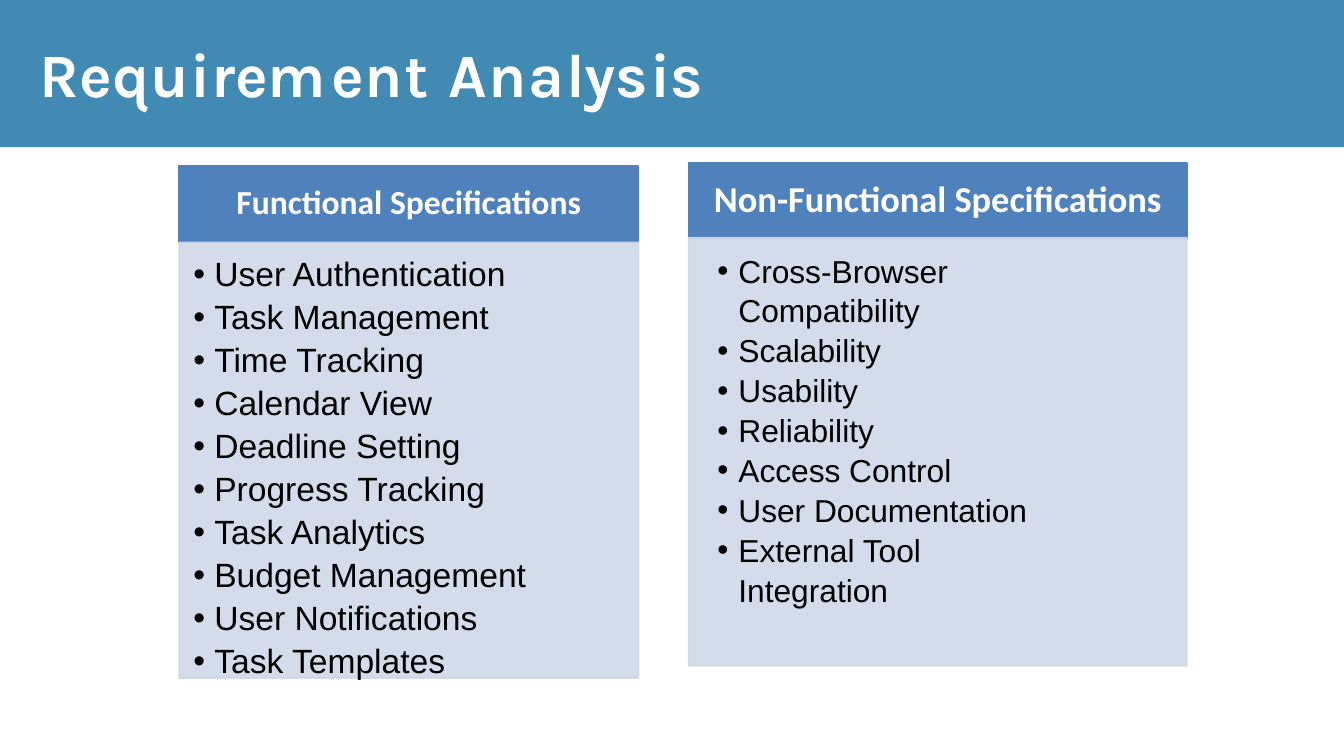
from lxml.etree import SubElement
from pptx import Presentation
from pptx.dml.color import RGBColor
from pptx.enum.shapes import MSO_SHAPE as Preset
from pptx.enum.text import MSO_ANCHOR as Anchor, PP_ALIGN as Align
from pptx.oxml.ns import qn
from pptx.util import Cm, Pt

HEADER, PANEL, WHITE, BLACK = "4F81BD", "D0D8E8", "FFFFFF", "000000"
TITLE = "Requirement Analysis"
TRACKING = {"R": 0.6, "e": -1.6, "q": 0.6, "u": 1.7, "i": -2.2, "r": -0.9, "m": 5.4,
            "n": 1.8, "t": 2.5, " ": 2.5, "A": 1.1, "a": 2, "l": -2, "y": -0.3, "s": 1.7}
FUNCTIONAL = ["User Authentication", "Task Management", "Time Tracking", "Calendar View",
              "Deadline Setting", "Progress Tracking", "Task Analytics",
              "Budget Management", "User Notifications", "Task Templates"]
NON_FUNCTIONAL = ["Cross-Browser Compatibility", "Scalability", "Usability", "Reliability",
                  "Access Control", "User Documentation", "External Tool Integration"]


def color(value):
    """Turn a hex string into a colour."""
    return RGBColor.from_string(value)


def add_block(page, left, top, width, height, fill, alpha=100):
    """Add a rectangle whose outline matches its fill."""
    block = page.shapes.add_shape(Preset.RECTANGLE, Cm(left), Cm(top), Cm(width), Cm(height))
    block.shadow.inherit = False
    block.line.width = Pt(2)
    for paint in (block.fill, block.line.fill):
        paint.solid()
        paint.fore_color.rgb = color(fill)
    if alpha < 100:
        for tint in block._element.spPr.iter(qn("a:srgbClr")):
            SubElement(tint, qn("a:alpha"), val=str(alpha * 1000))
    return block


def set_frame(shape, insets, anchor=Anchor.TOP):
    """Set wrapping, insets (left, top, right, bottom) and anchor of the text."""
    frame = shape.text_frame
    frame.word_wrap = True
    frame.vertical_anchor = anchor
    frame.margin_left, frame.margin_top, frame.margin_right, frame.margin_bottom = map(Cm, insets)
    return frame


def style_span(span, font, size, fill, bold=False):
    """Format one run."""
    span.font.name, span.font.size, span.font.bold = font, Pt(size), bold
    span.font.color.rgb = color(fill)


def add_title(page):
    """Add the slide title with its letter-by-letter tracking."""
    box = page.shapes.add_textbox(Cm(1.5), Cm(1.32), Cm(27.91), Cm(2.84))
    para = set_frame(box, (0, 0.03, 0, 0)).paragraphs[0]
    para.space_before = Pt(1)
    for letter in TITLE:
        span = para.add_run()
        span.text = letter
        style_span(span, "Karla", 66, WHITE, True)
        span._r.get_or_add_rPr().set("spc", str(round(TRACKING[letter] * 100)))


def add_header(page, left, top, width, text, size):
    """Add the coloured heading of a column."""
    block = add_block(page, left, top, width, 2.87, HEADER)
    frame = set_frame(block, (0.7, 0.4, 0.7, 0.4), Anchor.MIDDLE)
    frame.text = text
    para = frame.paragraphs[0]
    para.alignment, para.line_spacing = Align.CENTER, 0.9
    style_span(para.runs[0], "Calibri", size, WHITE, True)


def fill_bullets(frame, items, size, line_spacing, space_after):
    """Write the items as a bulleted list."""
    frame.text = "\n".join(items)
    for para in frame.paragraphs:
        para.alignment = Align.LEFT
        para.line_spacing, para.space_after = line_spacing, Pt(space_after)
        properties = para._p.get_or_add_pPr()
        properties.set("marL", str(Cm(0.79)))
        properties.set("indent", str(-Cm(0.79)))
        SubElement(properties, qn("a:buFont"), typeface="Arial")
        SubElement(properties, qn("a:buChar"), char="•")
        style_span(para.runs[0], "Arial", size, BLACK)


def main():
    """Build the slide."""
    deck = Presentation()
    deck.slide_width, deck.slide_height = Cm(50.8), Cm(28.58)
    page = deck.slides.add_slide(deck.slide_layouts[6])
    band = add_block(page, 0, 0, 50.8, 5.56, "408AB3")
    band.line.fill.background()
    add_title(page)

    add_header(page, 6.78, 6.27, 17.35, "Functional Specifications", 36)
    panel = add_block(page, 6.78, 9.17, 17.35, 16.46, PANEL, 90)
    fill_bullets(set_frame(panel, (0.53, 0.58, 0.7, 0.8)), FUNCTIONAL, 36, 0.9, 7.2)

    add_header(page, 26.04, 6.15, 18.82, "Non-Functional Specifications", 39)
    add_block(page, 26.04, 8.99, 18.82, 16.18, PANEL, 90)
    box = page.shapes.add_textbox(Cm(26.87), Cm(9.3), Cm(13.92), Cm(13.34))
    fill_bullets(set_frame(box, (0.25, 0.13, 0.25, 0.13)), NON_FUNCTIONAL, 34, 1.05, 0)
    deck.save("out.pptx")


if __name__ == "__main__":
    main()
